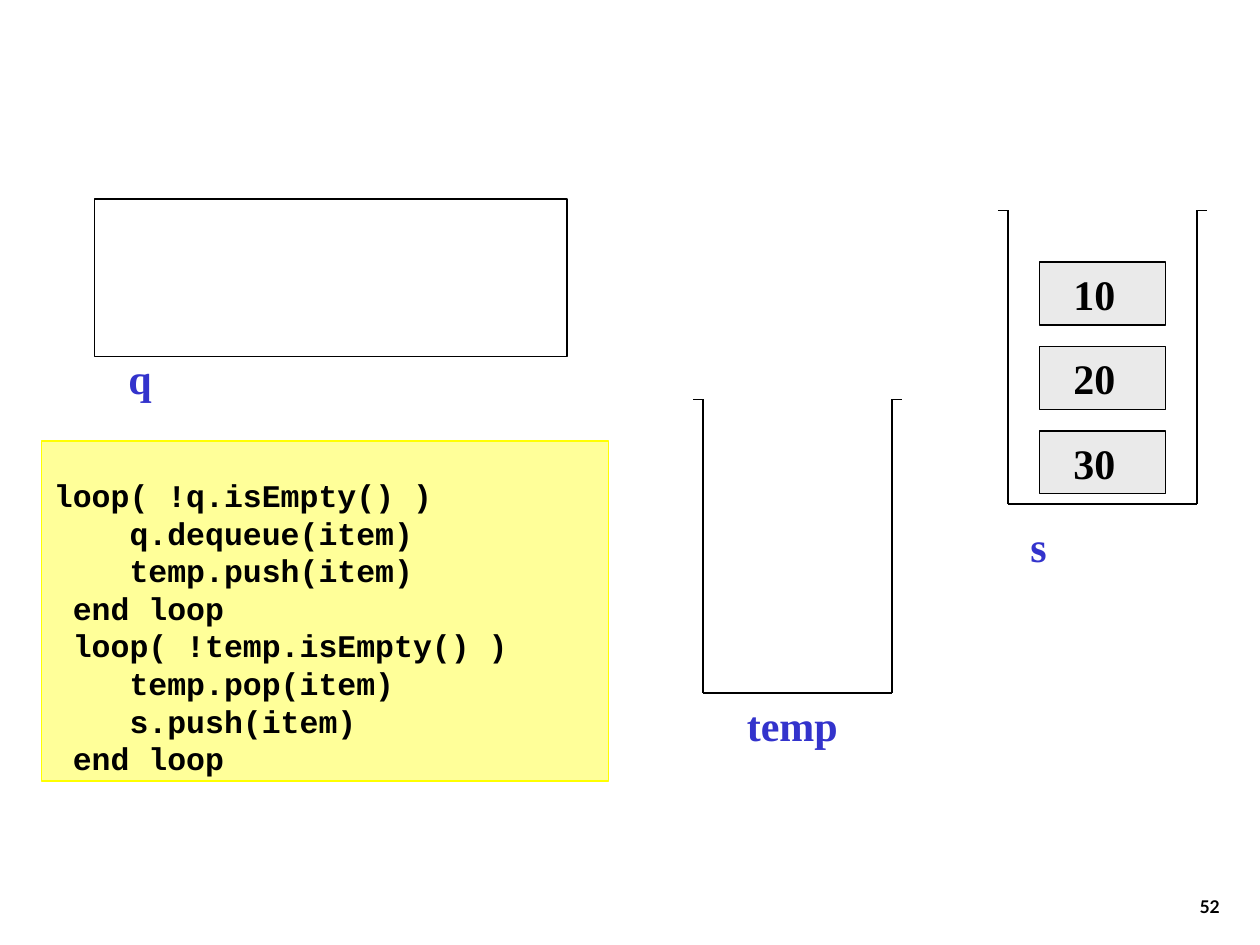
from dataclasses import dataclass

from lxml.etree import SubElement
from pptx import Presentation
from pptx.dml.color import RGBColor as Rgb
from pptx.enum.shapes import MSO_CONNECTOR as Connector, MSO_SHAPE as Shape
from pptx.enum.text import MSO_ANCHOR as Anchor, PP_ALIGN as Align
from pptx.oxml.ns import qn
from pptx.util import Inches, Pt


@dataclass(frozen=True)
class Theme:
    ink: Rgb = Rgb.from_string("000000")
    label: Rgb = Rgb.from_string("3333CC")
    item_fill: Rgb = Rgb.from_string("EAEAEA")
    code_fill: Rgb = Rgb.from_string("FFFF99")
    code_edge: Rgb = Rgb.from_string("FFFF00")
    serif: str = "Times New Roman"
    mono: str = "Courier New"
    sans: str = "Lato"
    label_size: Pt = Pt(24)
    code_size: Pt = Pt(18)
    code_pitch: Pt = Pt(21.5)
    number_size: Pt = Pt(10)
    stroke: Pt = Pt(0.75)


class QueueSlide:
    """Draws the parts of a queue and stack diagram on one slide."""

    def __init__(self, slide, theme):
        self.shapes = slide.shapes
        self.theme = theme

    def style(self, paragraph, face, size, color):
        font = paragraph.font
        font.name, font.size, font.bold = face, size, True
        font.color.rgb = color

    def rect(self, left, top, width, height, fill=None, edge=None):
        box = self.shapes.add_shape(
            Shape.RECTANGLE, Inches(left), Inches(top), Inches(width), Inches(height))
        box.shadow.inherit = False
        if fill is None:
            box.fill.background()
        else:
            box.fill.solid()
            box.fill.fore_color.rgb = fill
        box.line.color.rgb = edge or self.theme.ink
        box.line.width = self.theme.stroke
        box.text_frame.vertical_anchor = Anchor.TOP
        return box

    def item(self, value, left, top):
        frame = self.rect(left, top, 1, 0.5, self.theme.item_fill).text_frame
        frame.margin_left = Inches(0.27)
        frame.text = value
        frame.paragraphs[0].alignment = Align.LEFT
        self.style(frame.paragraphs[0], self.theme.serif, self.theme.label_size, self.theme.ink)

    def label(self, name, left, top):
        box = self.shapes.add_textbox(Inches(left), Inches(top), Inches(1), Inches(0.5))
        frame = box.text_frame
        frame.word_wrap = True
        frame.text = name
        self.style(frame.paragraphs[0], self.theme.serif, self.theme.label_size, self.theme.label)

    def line(self, start, end):
        edge = self.shapes.add_connector(
            Connector.STRAIGHT, *(Inches(value) for value in (*start, *end)))
        edge.line.color.rgb = self.theme.ink
        edge.line.width = self.theme.stroke
        SubElement(edge._element.spPr, qn("a:effectLst"))

    def stack(self, left, top, width=1.5, height=2.33, lip=0.08):
        right, bottom = left + width, top + height
        outline = [(left - lip, top), (left, top), (left, bottom),
                   (right, bottom), (right, top), (right + lip, top)]
        for start, end in zip(outline, outline[1:]):
            self.line(start, end)

    def code(self, lines, left, top, width, height):
        theme = self.theme
        frame = self.rect(left, top, width, height, theme.code_fill, theme.code_edge).text_frame
        frame.margin_top, frame.margin_bottom = Inches(0.28), 0
        frame.text = "\n".join(text for _, text in lines)
        for paragraph, (columns, _) in zip(frame.paragraphs, lines):
            paragraph.alignment = Align.LEFT
            paragraph.line_spacing = theme.code_pitch
            self.style(paragraph, theme.mono, theme.code_size, theme.ink)
            paragraph._p.get_or_add_pPr().set("marL", str(Inches(0.15 * columns)))

    def number(self, value):
        box = self.shapes.add_textbox(Inches(7.7), Inches(6.83), Inches(2.08), Inches(0.5))
        frame = box.text_frame
        frame.word_wrap = True
        frame.vertical_anchor = Anchor.BOTTOM
        frame.text = value
        frame.paragraphs[0].alignment = Align.RIGHT
        self.style(frame.paragraphs[0], self.theme.sans, self.theme.number_size, self.theme.ink)


CODE = [
    (0, "loop( !q.isEmpty() )"),
    (4, "q.dequeue(item)"),
    (4, "temp.push(item)"),
    (1, "end loop"),
    (1, "loop( !temp.isEmpty() )"),
    (4, "temp.pop(item)"),
    (4, "s.push(item)"),
    (1, "end loop"),
]


def main():
    deck = Presentation()
    deck.slide_width, deck.slide_height = Inches(10), Inches(7.5)
    diagram = QueueSlide(deck.slides.add_slide(deck.slide_layouts[6]), Theme())

    diagram.number("52")
    diagram.stack(8, 1.67)
    diagram.stack(5.58, 3.17)
    for row, value in enumerate(("10", "20", "30")):
        diagram.item(value, 8.25, 2.08 + 0.67 * row)
    diagram.label("q", 0.92, 2.75)
    diagram.label("s", 8.08, 4.08)
    diagram.label("temp", 5.83, 5.5)
    diagram.rect(0.75, 1.58, 3.75, 1.25)
    diagram.code(CODE, 0.33, 3.5, 4.5, 2.7)
    deck.save("out.pptx")


if __name__ == "__main__":
    main()
